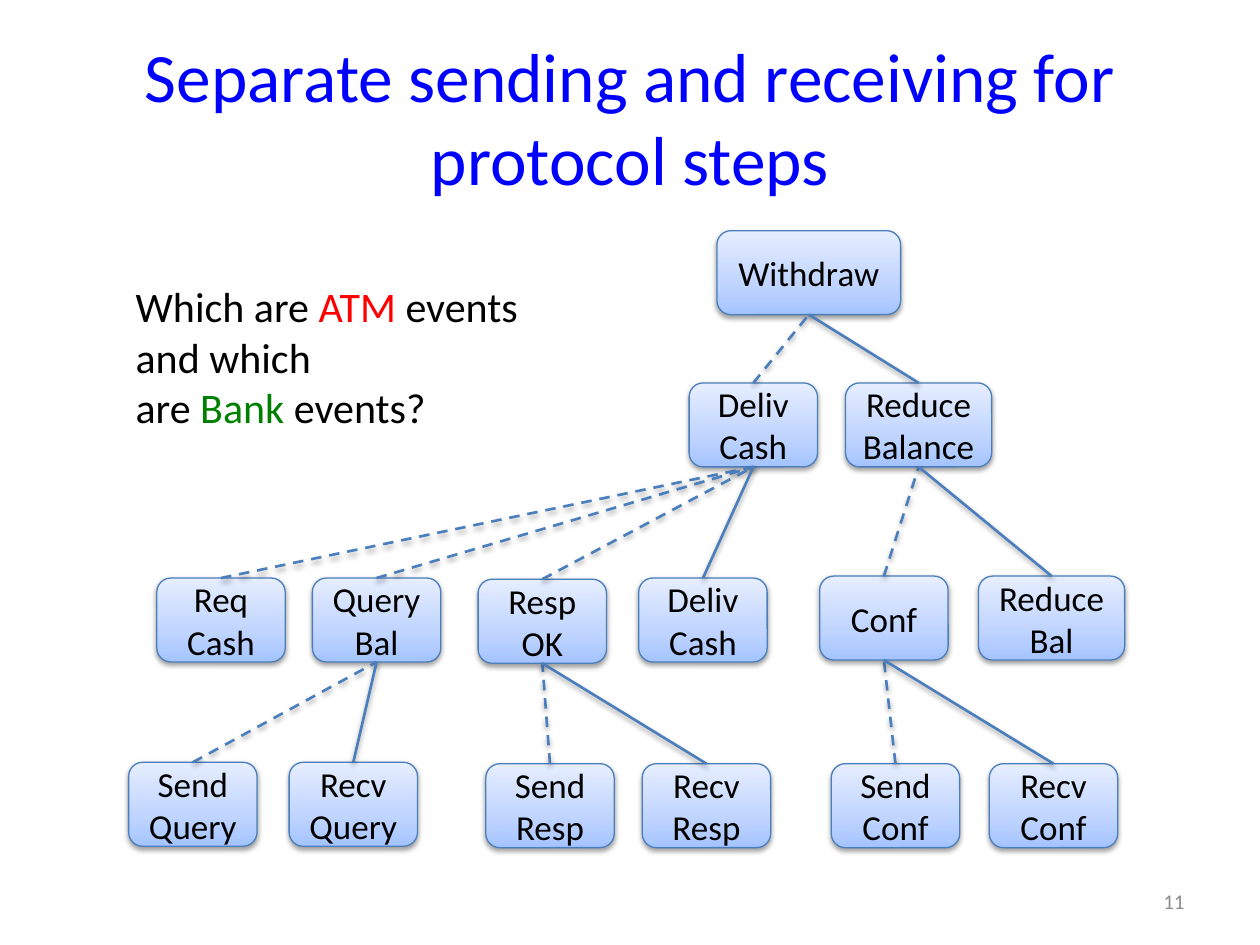
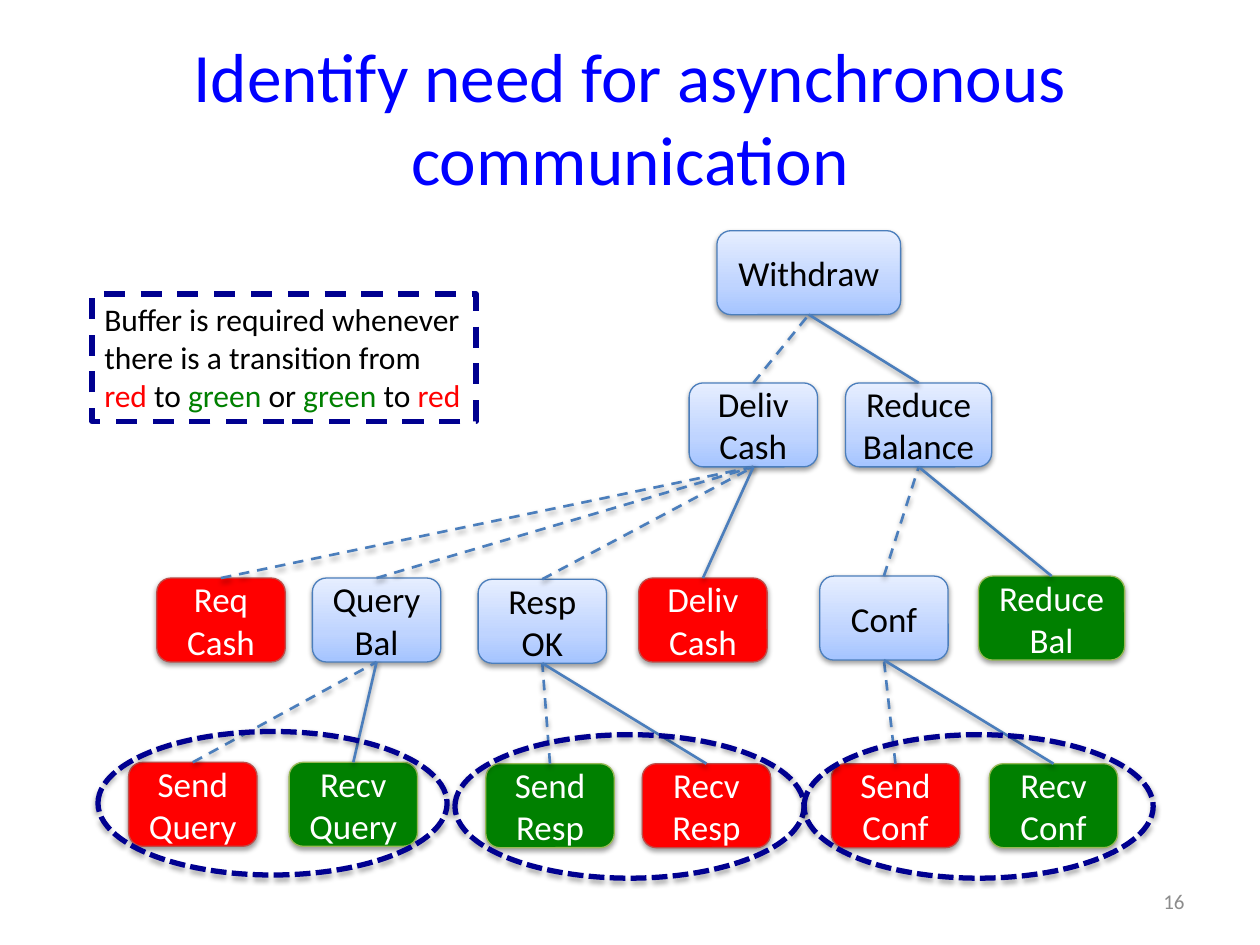
"""Build two slides that show the Withdraw event tree, plain and coloured by owner."""
from typing import Any, NamedTuple, Optional

from pptx import Presentation
from pptx import util as u
from pptx.dml.color import RGBColor
from pptx.enum import dml, shapes, text
from pptx.oxml import parse_xml
from pptx.oxml.ns import nsdecls

Pt = u.Pt
FONT = "Calibri"
BLACK = RGBColor(0x00, 0x00, 0x00)
WHITE = RGBColor(0xFF, 0xFF, 0xFF)
BLUE = RGBColor(0x00, 0x00, 0xFF)
NAVY = RGBColor(0x00, 0x00, 0x90)
RED = RGBColor(0xFF, 0x00, 0x00)
GREEN = RGBColor(0x00, 0x80, 0x00)
GREY = RGBColor(0x8C, 0x8C, 0x8C)
EDGE = RGBColor(0x4B, 0x7E, 0xBC)
RED_EDGE = RGBColor(0xBF, 0x4C, 0x48)
GREEN_EDGE = RGBColor(0x98, 0xB9, 0x55)
GRADIENT = ((0, RGBColor(0xA4, 0xC4, 0xFF)), (35, RGBColor(0xBF, 0xD4, 0xFF)),
            (100, RGBColor(0xE6, 0xEE, 0xFF)))
OUTLINES = {RED: RED_EDGE, GREEN: GREEN_EDGE}

NODE_W, NODE_H = 73.4, 48
WIDE_W, ROOT_W = 83.5, 105
ROW1, ROW2, ROW3, ROW4 = 131.8, 218.8, 330.3, 436
CONF_ROW = ROW3 - 1.1
TOP, BOTTOM = 0, 2

Run = tuple[str, RGBColor]


class Node(NamedTuple):
    label: str
    x: float
    y: float
    parent: Optional[str] = None
    dashed: bool = False
    owner: Optional[RGBColor] = None
    w: float = NODE_W


class Box(NamedTuple):
    x: float
    y: float
    w: float
    h: float


TREE = {
    "withdraw": Node("Withdraw", 409.7, ROW1, w=ROOT_W),
    "deliver": Node("Deliv Cash", 393.8, ROW2, "withdraw", True),
    "reduce": Node("Reduce\nBalance", 483.2, ROW2, "withdraw", w=WIDE_W),
    "req cash": Node("Req\nCash", 89.6, ROW3, "deliver", True, RED),
    "query": Node("Query\nBal", 178.5, ROW3, "deliver", True),
    "resp": Node("Resp OK", 273.2, ROW3 + 0.7, "deliver", True),
    "deliver cash": Node("Deliv\nCash", 365, ROW3, "deliver", False, RED),
    "conf": Node("Conf", 468.4, CONF_ROW, "reduce", True),
    "reduce bal": Node("Reduce\nBal", 559.2, CONF_ROW, "reduce", False, GREEN, WIDE_W),
    "send query": Node("Send Query", 73.5, ROW4 - 0.4, "query", True, RED),
    "recv query": Node("Recv\nQuery", 165.2, ROW4 - 0.4, "query", False, GREEN),
    "send resp": Node("Send Resp", 277.6, ROW4 + 0.4, "resp", True, GREEN),
    "recv resp": Node("Recv Resp", 367, ROW4 + 0.4, "resp", False, RED),
    "send conf": Node("Send Conf", 475, ROW4 + 0.4, "conf", True, RED),
    "recv conf": Node("Recv Conf", 565.3, ROW4 + 0.4, "conf", False, GREEN),
}
BUFFERS = (Box(56, 418, 199.5, 82), Box(260, 419.8, 199.5, 82), Box(459.5, 419.8, 199.5, 82))
QUESTION = [
    [("Which are ", BLACK), ("ATM", RED), (" events and which", BLACK)],
    [("are ", BLACK), ("Bank", GREEN), (" events?", BLACK)],
]
RULE = [[
    ("Buffer is required whenever there is a transition from ", BLACK), ("red", RED),
    (" to ", BLACK), ("green", GREEN), (" or ", BLACK), ("green", GREEN),
    (" to ", BLACK), ("red", RED),
]]


def write(tf: Any, paragraphs: list[list[Run]], *, size: float,
          align: text.PP_ALIGN = text.PP_ALIGN.LEFT,
          anchor: text.MSO_ANCHOR = text.MSO_ANCHOR.TOP) -> None:
    """Fill a text frame with coloured runs."""
    tf.word_wrap = True
    tf.auto_size = text.MSO_AUTO_SIZE.NONE
    tf.vertical_anchor = anchor
    for i, runs in enumerate(paragraphs):
        p = tf.add_paragraph() if i else tf.paragraphs[0]
        p.alignment = align
        for words, color in runs:
            r = p.add_run()
            r.text = words
            r.font.name, r.font.size, r.font.color.rgb = FONT, Pt(size), color


def set_line(sp: Any, color: RGBColor, width: float,
             dash: Optional[dml.MSO_LINE] = None) -> None:
    """Format an outline or connector."""
    sp.line.color.rgb = color
    sp.line.width = Pt(width)
    if dash is not None:
        sp.line.dash_style = dash


def add_shadow(sp: Any, opacity: int = 38, distance: float = 1.6) -> None:
    """Give a shape or connector a soft shadow below it."""
    sp._element.spPr.append(parse_xml(
        f'<a:effectLst {nsdecls("a")}><a:outerShdw blurRad="{Pt(3.1)}" '
        f'dist="{Pt(distance)}" dir="5400000" rotWithShape="0"><a:srgbClr val="000000">'
        f'<a:alpha val="{opacity * 1000}"/></a:srgbClr></a:outerShdw></a:effectLst>'))


def fill_gradient(sp: Any) -> None:
    """Fill a shape with the pale blue gradient."""
    sp.fill.gradient()
    sp.fill.gradient_angle = 90
    stops = sp._element.spPr.gradFill.gsLst
    for stop in list(stops):
        stops.remove(stop)
    for position, color in GRADIENT:
        stops.append(parse_xml(f'<a:gs {nsdecls("a")} pos="{position * 1000}">'
                               f'<a:srgbClr val="{color}"/></a:gs>'))


def add_node(s: Any, node: Node, owner: Optional[RGBColor]) -> Any:
    """Draw one event box."""
    sp = s.shapes.add_shape(shapes.MSO_SHAPE.ROUNDED_RECTANGLE,
                            Pt(node.x), Pt(node.y), Pt(node.w), Pt(NODE_H))
    if owner is None:
        fill_gradient(sp)
    else:
        sp.fill.solid()
        sp.fill.fore_color.rgb = owner
    set_line(sp, OUTLINES.get(owner, EDGE), 0.75)
    add_shadow(sp)
    color = BLACK if owner is None else WHITE
    write(sp.text_frame, [[(line, color)] for line in node.label.split("\n")], size=20,
          align=text.PP_ALIGN.CENTER, anchor=text.MSO_ANCHOR.MIDDLE)
    return sp


def add_tree(s: Any, show_owners: bool) -> None:
    """Draw all event boxes and join each to its parent."""
    boxes = {key: add_node(s, node, node.owner if show_owners else None)
             for key, node in TREE.items()}
    for key, node in TREE.items():
        if node.parent:
            link = s.shapes.add_connector(shapes.MSO_CONNECTOR.STRAIGHT, 0, 0, 0, 0)
            link.begin_connect(boxes[key], TOP)
            link.end_connect(boxes[node.parent], BOTTOM)
            set_line(link, EDGE, 1.5, dml.MSO_LINE.DASH if node.dashed else None)
            add_shadow(link)


def add_note(s: Any, box: Box, paragraphs: list[list[Run]], **style: Any) -> Any:
    """Add a text box."""
    sp = s.shapes.add_textbox(*map(Pt, box))
    write(sp.text_frame, paragraphs, **style)
    return sp


def add_buffer(s: Any, box: Box) -> None:
    """Ring a send and receive pair that needs a buffer."""
    sp = s.shapes.add_shape(shapes.MSO_SHAPE.OVAL, *map(Pt, box))
    sp.fill.background()
    set_line(sp, NAVY, 3, dml.MSO_LINE.SQUARE_DOT)
    add_shadow(sp, 35, 1.8)


def add_slide(prs: Any, title: str, number: int, show_owners: bool) -> Any:
    """Add a slide with its title, event tree and number."""
    s = prs.slides.add_slide(prs.slide_layouts[5])
    sp = s.shapes.title
    sp.left, sp.top, sp.width, sp.height = map(Pt, (36, 21.6, 648, 90))
    write(sp.text_frame, [[(title, BLUE)]], size=39.6,
          align=text.PP_ALIGN.CENTER, anchor=text.MSO_ANCHOR.MIDDLE)
    add_tree(s, show_owners)
    add_note(s, Box(516, 500.5, 168, 28.8), [[(str(number), GREY)]], size=12,
             align=text.PP_ALIGN.RIGHT, anchor=text.MSO_ANCHOR.MIDDLE)
    return s


def main() -> None:
    """Build and save the presentation."""
    prs = Presentation()
    prs.slide_width, prs.slide_height = Pt(720), Pt(540)

    s = add_slide(prs, "Separate sending and receiving for protocol steps", 11, False)
    add_note(s, Box(70.4, 157, 250, 94.5), QUESTION, size=24)

    s = add_slide(prs, "Identify need for asynchronous communication", 16, True)
    rule = add_note(s, Box(52.5, 168, 219.6, 72.7), RULE, size=18)
    set_line(rule, NAVY, 3, dml.MSO_LINE.DASH)
    for box in BUFFERS:
        add_buffer(s, box)

    prs.save("out.pptx")


if __name__ == "__main__":
    main()
